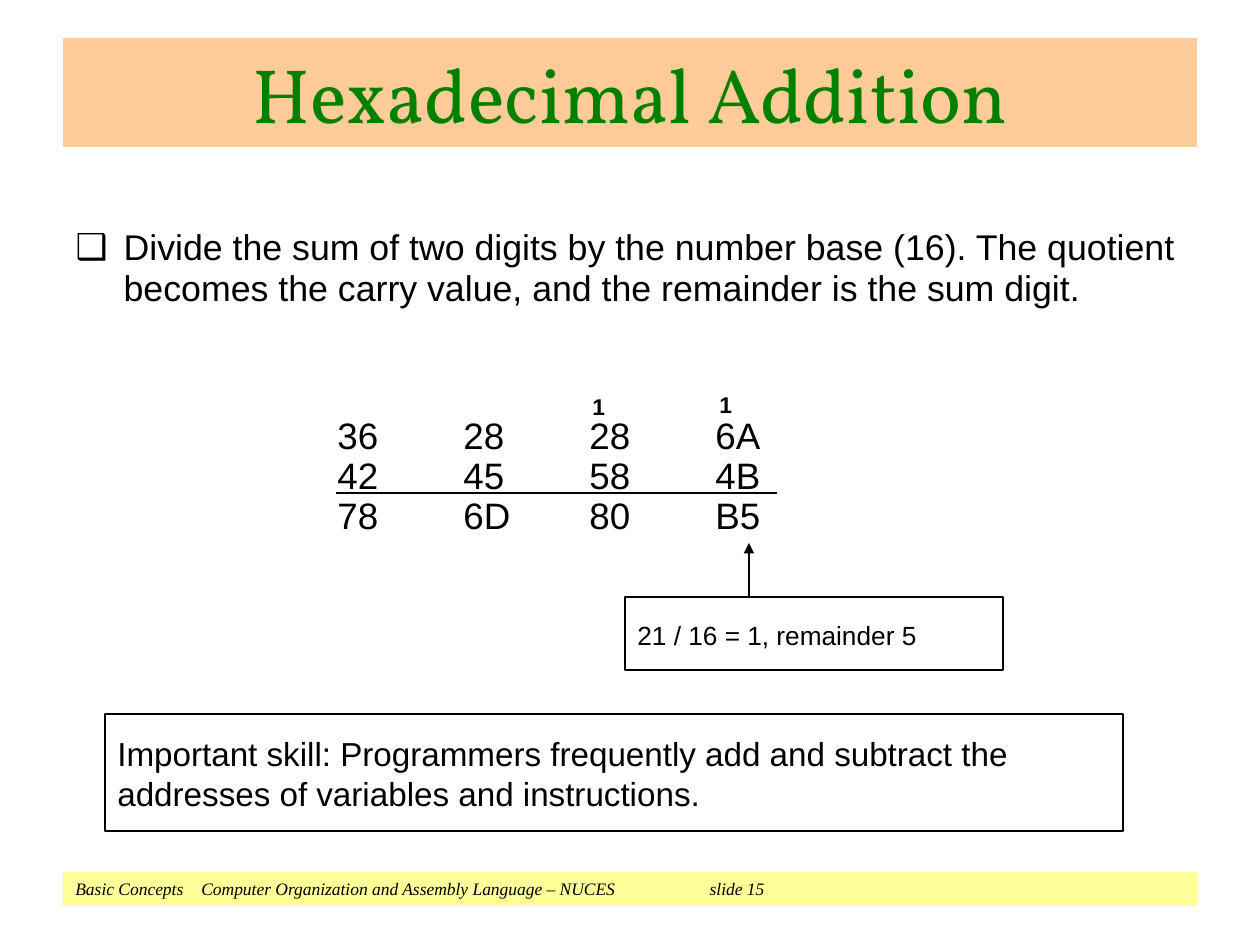
"""Build the slide on hexadecimal addition."""
from lxml import etree
from pptx import Presentation, util as u
from pptx.dml.color import RGBColor
from pptx.enum import shapes, text
from pptx.oxml.ns import qn

PX = 914400 / 126
COLORS = {"black": "000000", "title": "008000", "title band": "FFCC99", "footer band": "FFFF99"}

FOOTER = "Basic Concepts\tComputer Organization and Assembly Language – NUCES\t slide 15"
TITLE = "Hexadecimal Addition"
BODY = ("Divide the sum of two digits by the number base (16). The quotient "
        "becomes the carry value, and the remainder is the sum digit.")
SUMS = [("36", "42", "78"), ("28", "45", "6D"), ("28", "58", "80"), ("6A", "4B", "B5")]
CARRIES = [("1", (707, 372, 39, 66)), ("1", (580, 374, 39, 66))]
NOTES = [
    ("21 / 16 = 1, remainder 5", (625, 597, 378, 73), 15, 1.1),
    ("Important skill: Programmers frequently add and subtract the "
     "addresses of variables and instructions.", (105, 714, 1018, 117), 19, 1.0),
]
SUM_LINE = ((336, 493), (777, 493))
ARROW = ((749, 597), (749, 543))
COLUMN = 126


def px(value):
    return u.Emu(round(value * PX))


def color(name):
    return RGBColor.from_string(COLORS[name])


def place(shape, box):
    shape.left, shape.top, shape.width, shape.height = map(px, box)


def fill_band(shape, name):
    shape.fill.solid()
    shape.fill.fore_color.rgb = color(name)


def set_tabs(paragraph, stops):
    tabs = etree.SubElement(paragraph._p.get_or_add_pPr(), qn("a:tabLst"))
    for stop in stops:
        etree.SubElement(tabs, qn("a:tab"), pos=str(px(stop)), algn="l")


def set_bullet(paragraph, character, indent):
    properties = paragraph._p.get_or_add_pPr()
    properties.set("marL", str(px(indent)))
    properties.set("indent", str(-px(indent)))
    bullet_color = etree.SubElement(properties, qn("a:buClr"))
    etree.SubElement(bullet_color, qn("a:srgbClr"), val=COLORS["black"])
    etree.SubElement(properties, qn("a:buChar"), char=character)


def style(paragraph, size, name="Arial", ink="black", spacing=1.0,
          align=text.PP_ALIGN.LEFT, bold=False, italic=False):
    paragraph.alignment = align
    paragraph.line_spacing = spacing
    paragraph.space_before = u.Pt(0)
    font = paragraph.font
    font.size, font.name, font.bold, font.italic = u.Pt(size), name, bold, italic
    font.color.rgb = color(ink)


def write(shape, lines, top=6, bottom=6, anchor=text.MSO_ANCHOR.TOP):
    frame = shape.text_frame
    frame.word_wrap = True
    frame.auto_size = text.MSO_AUTO_SIZE.NONE
    frame.vertical_anchor = anchor
    frame.margin_left = frame.margin_right = u.Inches(0.1)
    frame.margin_top, frame.margin_bottom = px(top), px(bottom)
    frame.text = "\n".join(lines)
    return frame.paragraphs


def add_rectangle(slide, box):
    shape = slide.shapes.add_shape(shapes.MSO_SHAPE.RECTANGLE, *map(px, box))
    shape.shadow.inherit = False
    return shape


def add_line(slide, ends, arrow=False):
    (x1, y1), (x2, y2) = ends
    line = slide.shapes.add_connector(
        shapes.MSO_CONNECTOR.STRAIGHT, px(x1), px(y1), px(x2), px(y2))
    line.line.color.rgb = color("black")
    line.line.width = u.Pt(0.75)
    if arrow:
        etree.SubElement(line.line._get_or_add_ln(), qn("a:tailEnd"), type="triangle")
    etree.SubElement(line._element.spPr, qn("a:effectLst"))


def main():
    presentation = Presentation()
    presentation.slide_width, presentation.slide_height = u.Inches(10), u.Inches(7.5)
    slide = presentation.slides.add_slide(presentation.slide_layouts[1])
    title, body = slide.shapes.title, slide.placeholders[1]

    place(title, (63, 38, 1134, 109))
    fill_band(title, "title band")
    paragraph, = write(title, [TITLE], anchor=text.MSO_ANCHOR.MIDDLE)
    style(paragraph, 44, "Vollkorn", "title", align=text.PP_ALIGN.CENTER)

    place(body, (63, 222, 1134, 87))
    paragraph, = write(body, [BODY])
    set_bullet(paragraph, "❑", 48)
    style(paragraph, 20.4, spacing=0.95)

    footer = add_rectangle(slide, (63, 872, 1134, 34))
    fill_band(footer, "footer band")
    footer.line.fill.background()
    paragraph, = write(footer, [FOOTER], anchor=text.MSO_ANCHOR.MIDDLE)
    set_tabs(paragraph, [COLUMN, 5 * COLUMN])
    style(paragraph, 10, "Times New Roman", italic=True)

    sums = slide.shapes.add_textbox(*map(px, (325, 416, 536, 137)))
    for paragraph in write(sums, ["\t".join(row) for row in zip(*SUMS)], top=0):
        set_tabs(paragraph, [COLUMN * i for i in range(1, len(SUMS))])
        style(paragraph, 21, spacing=u.Pt(23.1))
    add_line(slide, SUM_LINE)

    for digit, box in CARRIES:
        carry = slide.shapes.add_textbox(*map(px, box))
        paragraph, = write(carry, [digit], top=19, bottom=19)
        style(paragraph, 13, bold=True)

    add_line(slide, ARROW, arrow=True)
    for note, box, size, spacing in NOTES:
        frame = add_rectangle(slide, box)
        frame.fill.background()
        frame.line.color.rgb = color("black")
        frame.line.width = u.Pt(0.75)
        paragraph, = write(frame, [note], top=19, bottom=19)
        style(paragraph, size, spacing=spacing)

    presentation.save("out.pptx")


if __name__ == "__main__":
    main()
